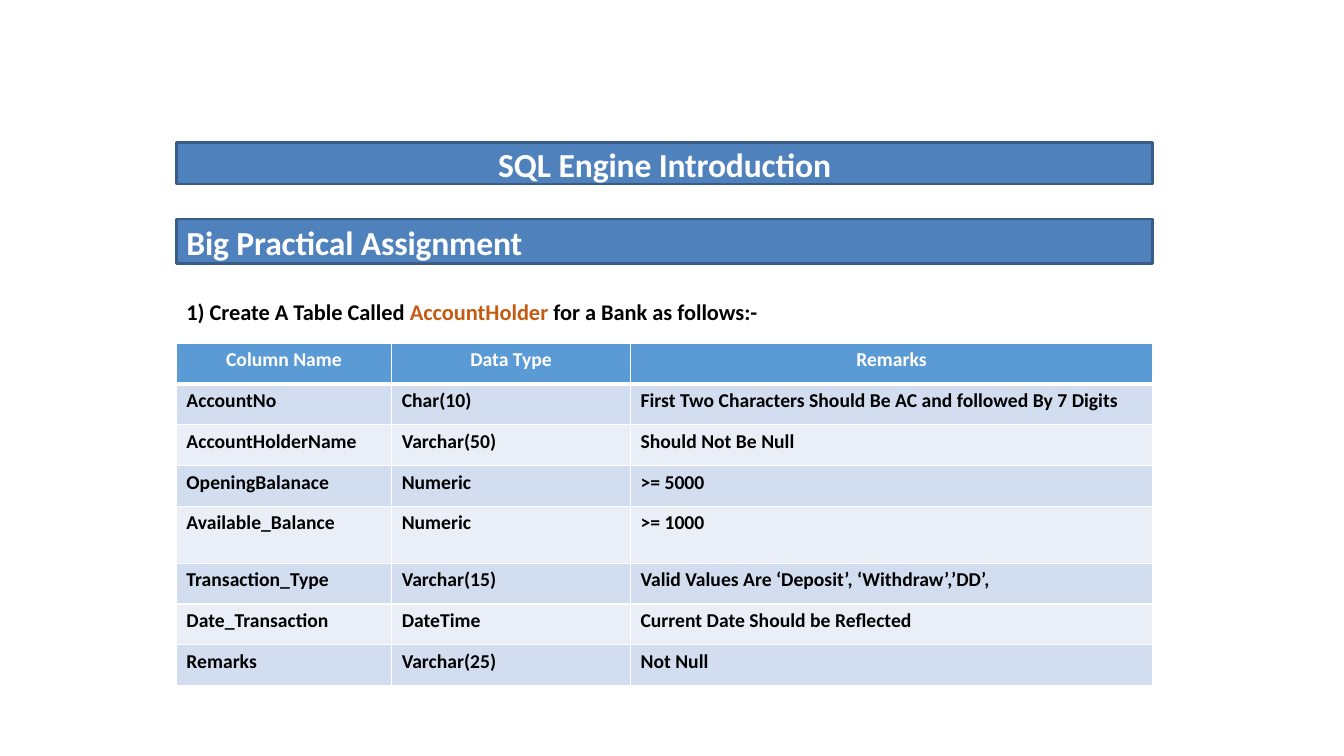
"""Build the assignment slide with two title bands, a task line and a column table."""
from lxml.etree import SubElement
from pptx import Presentation
from pptx.dml.color import RGBColor
from pptx.enum.shapes import MSO_SHAPE
from pptx.enum.text import MSO_ANCHOR, PP_ALIGN
from pptx.oxml.ns import qn
from pptx.util import Pt

WHITE = RGBColor(0xFF, 0xFF, 0xFF)
BLACK = RGBColor(0, 0, 0)
BAND_FILL = RGBColor(0x4F, 0x81, 0xBC)
BAND_LINE = RGBColor(0x38, 0x5D, 0x89)
ORANGE = RGBColor(0xC5, 0x5A, 0x11)
HEADER_FILL = RGBColor(0x5B, 0x9B, 0xD5)
ROW_FILLS = (RGBColor(0xEA, 0xEF, 0xF7), RGBColor(0xD2, 0xDE, 0xEF))

TITLE = (("SQL ", 0), ("Engine Introduction", -0.1))
SUBTITLE = (("Big Practical Assignment", -0.1),)
TASK = (
    ("1) Create A Table Called ", BLACK),
    ("AccountHolder", ORANGE),
    (" for a Bank as follows:-", BLACK),
)
ROWS = (
    ("Column Name", "Data Type", "Remarks"),
    ("AccountNo", "Char(10)", "First Two Characters Should Be AC and followed By 7 Digits"),
    ("AccountHolderName", "Varchar(50)", "Should Not Be Null"),
    ("OpeningBalanace", "Numeric", ">= 5000"),
    ("Available_Balance", "Numeric", ">= 1000"),
    ("Transaction_Type", "Varchar(15)", "Valid Values Are ‘Deposit’, ‘Withdraw’,’DD’,"),
    ("Date_Transaction", "DateTime", "Current Date Should be Reflected"),
    ("Remarks", "Varchar(25)", "Not Null"),
)

LEFT = 126
COLUMN_WIDTHS = (153.8, 170.6, 372.9)
WIDTH = sum(COLUMN_WIDTHS)
ROW_HEIGHT = 29.15
TALL_ROW, TALL_HEIGHT = 4, 40.7
ROW_HEIGHTS = [TALL_HEIGHT if row == TALL_ROW else ROW_HEIGHT for row in range(len(ROWS))]


def add_run(paragraph, text, size, color, spacing=0):
    """Append one bold Calibri run."""
    run = paragraph.add_run()
    run.text = text
    run.font.name = "Calibri"
    run.font.size = Pt(size)
    run.font.bold = True
    run.font.color.rgb = color
    if spacing:
        run.font._element.set("spc", str(round(spacing * 100)))


def add_band(slide, top, height, runs):
    """Add a blue band and return its shape and paragraph."""
    shape = slide.shapes.add_shape(MSO_SHAPE.RECTANGLE, Pt(LEFT), Pt(top), Pt(WIDTH), Pt(height))
    shape.shadow.inherit = False
    shape.fill.solid()
    shape.fill.fore_color.rgb = BAND_FILL
    shape.line.color.rgb = BAND_LINE
    shape.line.width = Pt(2)
    frame = shape.text_frame
    frame.word_wrap = True
    frame.margin_left = frame.margin_right = frame.margin_top = frame.margin_bottom = 0
    paragraph = frame.paragraphs[0]
    for text, spacing in runs:
        add_run(paragraph, text, 24, WHITE, spacing)
    return frame, paragraph


def add_borders(cell, row):
    """Draw white cell borders, thicker between header and body."""
    properties = cell._tc.get_or_add_tcPr()
    widths = {"lnL": 1, "lnR": 1, "lnT": 3 if row == 1 else 1, "lnB": 3 if row == 0 else 1}
    for side, width in widths.items():
        line = SubElement(properties, qn(f"a:{side}"), w=str(Pt(width)))
        fill = SubElement(line, qn("a:solidFill"))
        SubElement(fill, qn("a:srgbClr"), val=str(WHITE))


presentation = Presentation()
presentation.slide_width = Pt(960)
presentation.slide_height = Pt(540)
slide = presentation.slides.add_slide(presentation.slide_layouts[6])

frame, paragraph = add_band(slide, 102, 29.5, TITLE)
frame.vertical_anchor = MSO_ANCHOR.MIDDLE
paragraph.alignment = PP_ALIGN.CENTER
paragraph.line_spacing = Pt(29.2)

frame, paragraph = add_band(slide, 156.5, 31.7, SUBTITLE)
frame.vertical_anchor = MSO_ANCHOR.TOP
frame.margin_top = Pt(2.2)
paragraph.alignment = PP_ALIGN.LEFT
paragraph.space_before = Pt(2.5)
paragraph._p.get_or_add_pPr().set("marL", str(Pt(7.2)))

task_box = slide.shapes.add_textbox(Pt(LEFT), Pt(209.5), Pt(WIDTH), Pt(26.6))
task_box.text_frame.word_wrap = True
for text, color in TASK:
    add_run(task_box.text_frame.paragraphs[0], text, 16, color)

table = slide.shapes.add_table(
    len(ROWS), len(COLUMN_WIDTHS), Pt(LEFT), Pt(245), Pt(WIDTH), Pt(sum(ROW_HEIGHTS))
).table
for column, width in zip(table.columns, COLUMN_WIDTHS):
    column.width = Pt(width)
for row, (values, height) in enumerate(zip(ROWS, ROW_HEIGHTS)):
    table.rows[row].height = Pt(height)
    header = row == 0
    for column, text in enumerate(values):
        cell = table.cell(row, column)
        add_borders(cell, row)
        cell.fill.solid()
        cell.fill.fore_color.rgb = HEADER_FILL if header else ROW_FILLS[row % 2]
        paragraph = cell.text_frame.paragraphs[0]
        paragraph.alignment = PP_ALIGN.CENTER if header else PP_ALIGN.LEFT
        add_run(paragraph, text, 14, WHITE if header else BLACK)

presentation.save("out.pptx")
